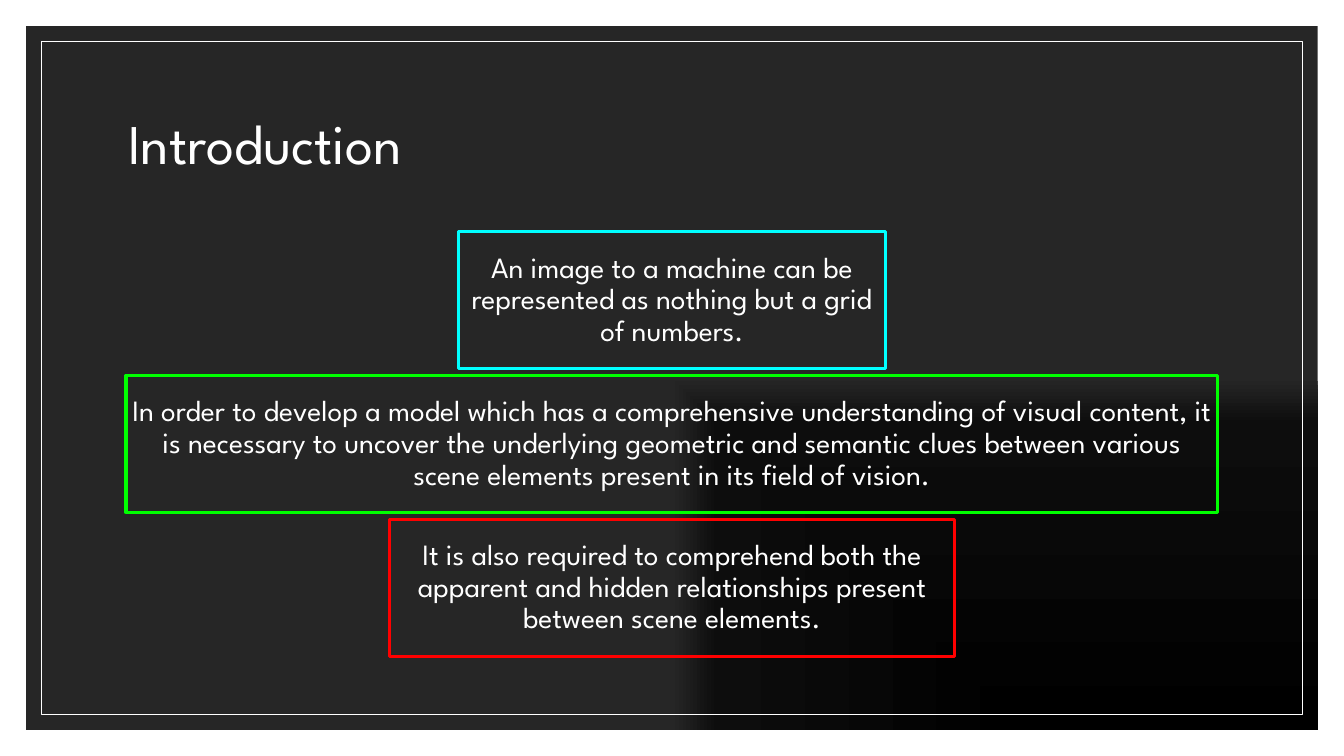
from pptx import Presentation
from pptx.dml.color import RGBColor
from pptx.enum.shapes import MSO_SHAPE
from pptx.enum.text import MSO_ANCHOR, MSO_AUTO_SIZE, PP_ALIGN
from pptx.oxml import parse_xml
from pptx.oxml.ns import nsdecls, qn
from pptx.util import Inches, Pt

HUES = {"white": "FFFFFF", "cyan": "00FFFF", "lime": "00FF00", "red": "FF0000",
        "black": "000000", "coal": "0D0D0D", "slate": "262626"}
WIDE, HIGH = 13.33, 7.5
POINTS = [
    ("cyan", 4.55, 4.23, "An image to a machine can be represented as nothing "
     "but a grid of numbers."),
    ("lime", 1.25, 10.83, "In order to develop a model which has a comprehensive "
     "understanding of visual content, it is necessary to uncover the underlying "
     "geometric and semantic clues between various scene elements present in its "
     "field of vision."),
    ("red", 3.86, 5.61, "It is also required to comprehend both the apparent and "
     "hidden relationships present between scene elements."),
]


def apply(item, form):
    for key, value in form.items():
        setattr(item, key, value)


class Deck:
    """Holds the style and the current slide."""

    def __init__(self):
        self.show = Presentation()
        apply(self.show, {"slide_width": Inches(WIDE), "slide_height": Inches(HIGH)})
        self.slide = self.show.slides.add_slide(self.show.slide_layouts[5])
        self.face = "League Spartan"

    def hue(self, name):
        return RGBColor.from_string(HUES[name])

    def label(self, shape, text, size, align, pad):
        frame = shape.text_frame
        frame.text = text
        apply(frame, {"word_wrap": True, "auto_size": MSO_AUTO_SIZE.NONE,
                      "vertical_anchor": MSO_ANCHOR.MIDDLE, **pad})
        line = frame.paragraphs[0]
        apply(line, {"alignment": align, "line_spacing": 0.9})
        font = line.runs[0].font
        apply(font, {"name": self.face, "size": Pt(size)})
        font.color.rgb = self.hue("white")

    def box(self, left, top, width, height, edge=None, weight=0):
        shape = self.slide.shapes.add_shape(
            MSO_SHAPE.RECTANGLE, *map(Inches, (left, top, width, height)))
        shape.shadow.inherit = False
        shape.fill.background()
        if edge:
            shape.line.color.rgb = self.hue(edge)
            shape.line.width = Pt(weight)
        else:
            shape.line.fill.background()
        return shape

    def inset(self, gap, **form):
        return self.box(gap, gap, WIDE - 2 * gap, HIGH - 2 * gap, **form)

    def shade(self, shape, stops):
        marks = "".join(f'<a:gs pos="{spot * 1000}"><a:srgbClr val="{HUES[name]}"/></a:gs>'
                        for spot, name in stops)
        blend = parse_xml(
            f'<a:gradFill {nsdecls("a")} rotWithShape="1"><a:gsLst>{marks}</a:gsLst>'
            '<a:path path="rect"><a:fillToRect l="100000" t="100000"/></a:path>'
            '</a:gradFill>')
        props = shape.element.spPr
        props.replace(props.find(qn("a:noFill")), blend)

    def title(self, text):
        shape = self.slide.shapes.title
        apply(shape, {"left": Inches(1.17), "top": Inches(0.7),
                      "width": Inches(11), "height": Inches(1.5)})
        self.label(shape, text, 40, PP_ALIGN.LEFT, {})
        shape.element.getparent().append(shape.element)

    def point(self, row, edge, left, width, text):
        shape = self.box(left, 2.3 + row * 1.425, width, 1.36, edge, 2.25)
        pad = {f"margin_{side}": Inches(0.06)
               for side in ("left", "top", "right", "bottom")}
        self.label(shape, text, 21, PP_ALIGN.CENTER, pad)


def main():
    deck = Deck()
    deck.shade(deck.inset(0.26), [(0, "black"), (87, "coal"), (100, "slate")])
    deck.inset(0.41, edge="white", weight=0.5)
    deck.title("Introduction")
    for row, point in enumerate(POINTS):
        deck.point(row, *point)
    deck.show.save("out.pptx")


if __name__ == "__main__":
    main()
